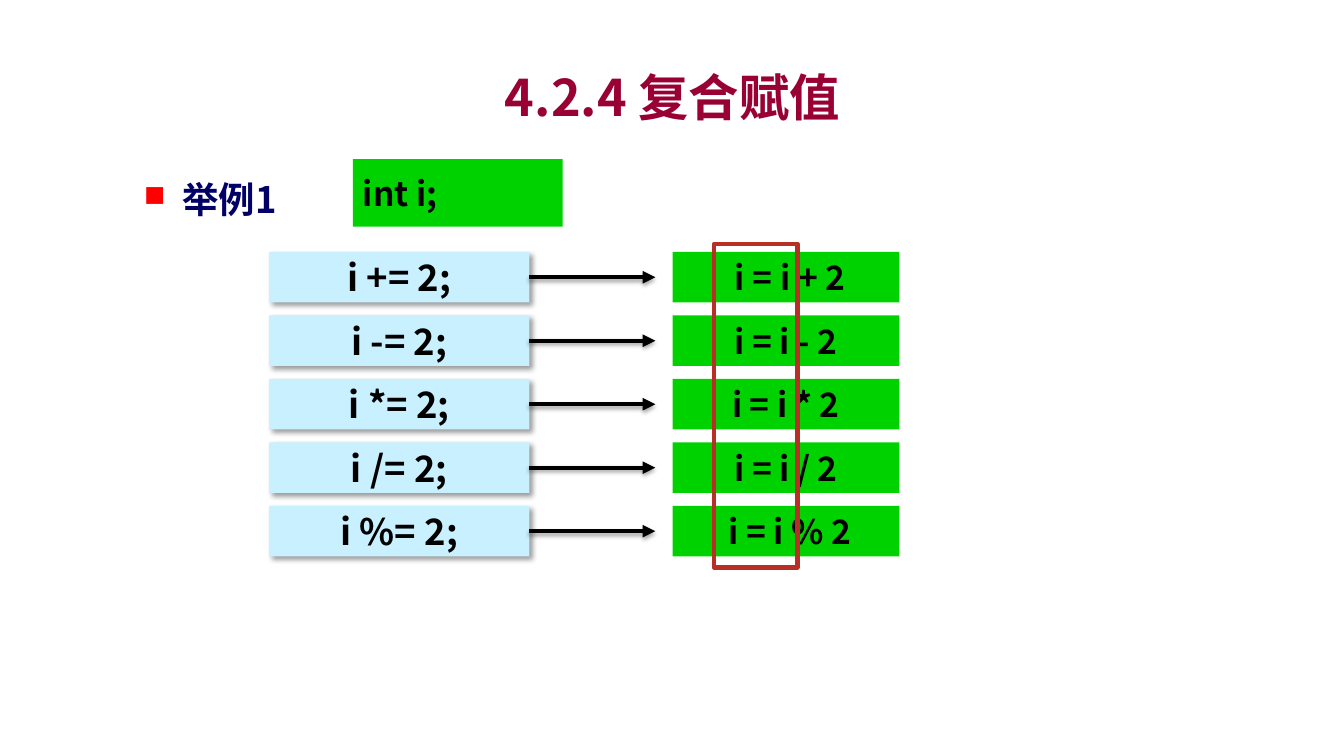
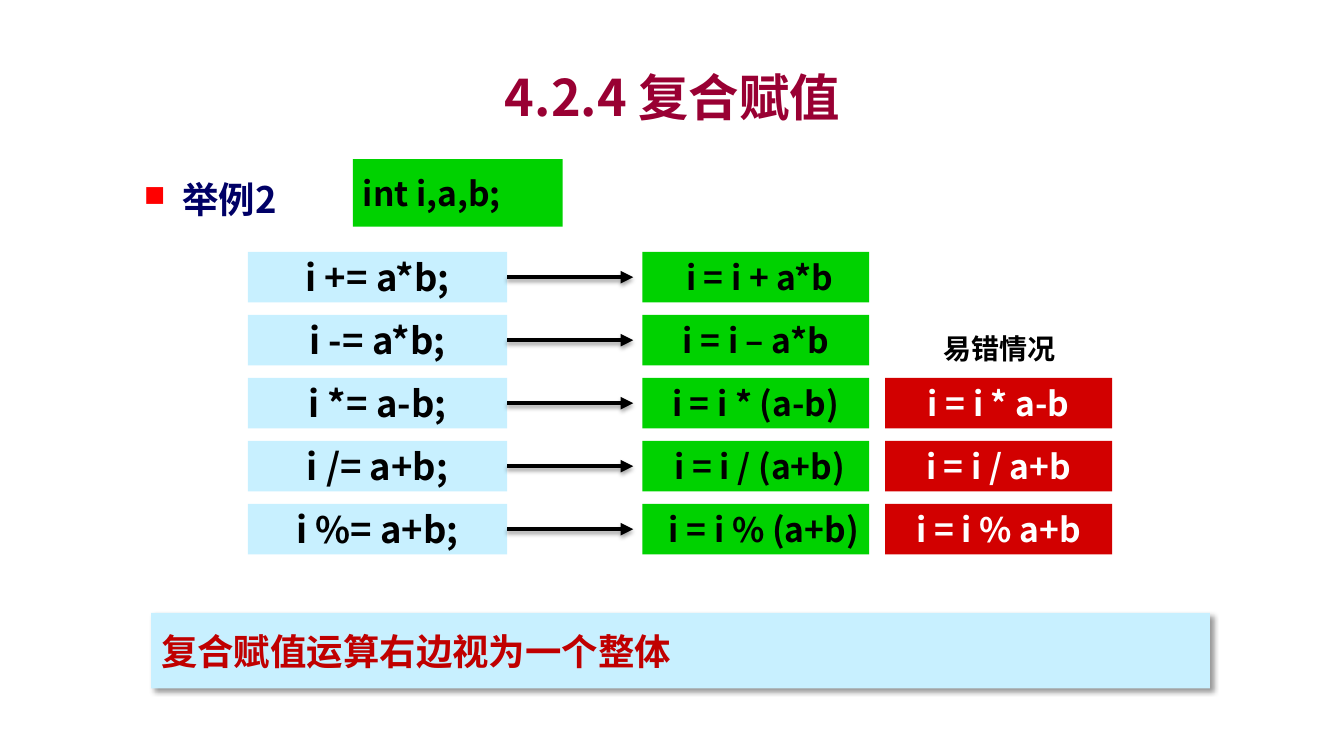
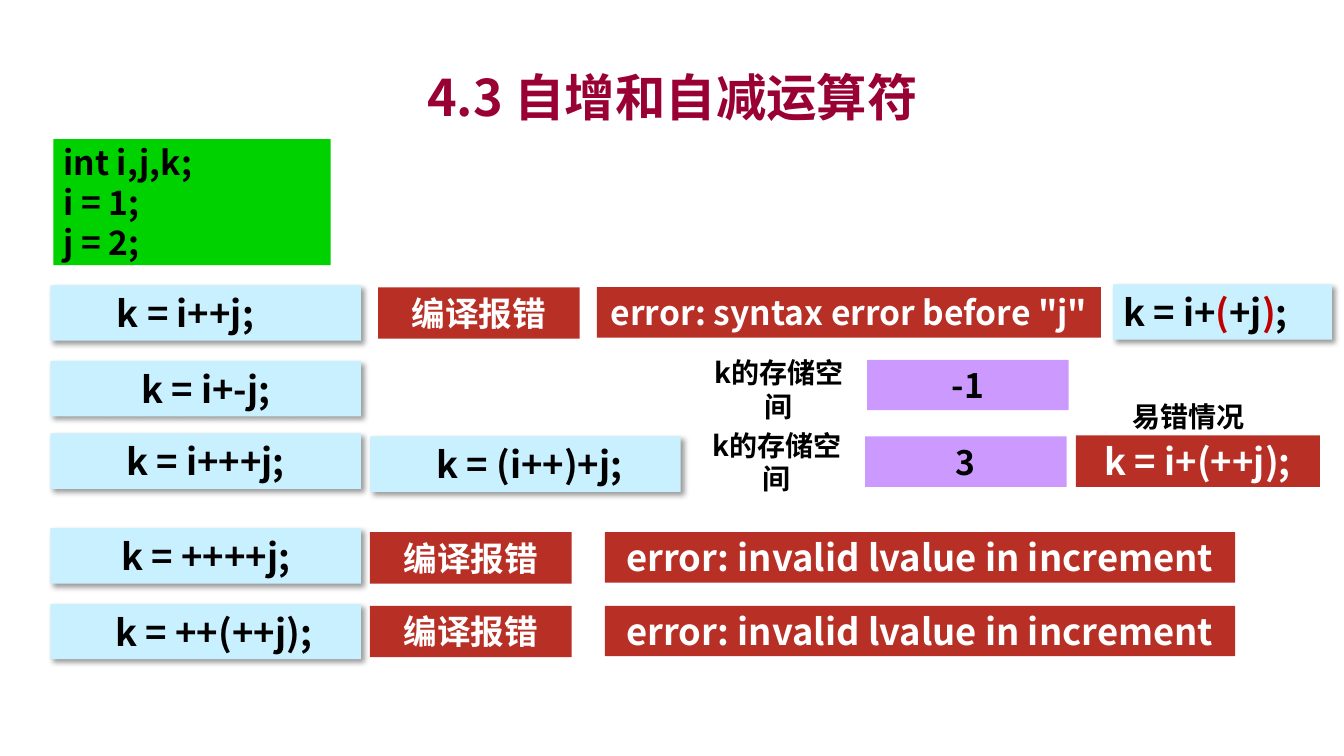
from dataclasses import dataclass

from lxml.etree import SubElement
from pptx import Presentation
from pptx.dml.color import RGBColor
from pptx.enum.shapes import MSO_CONNECTOR, MSO_SHAPE
from pptx.enum.text import MSO_ANCHOR, PP_ALIGN
from pptx.oxml.ns import qn
from pptx.util import Inches, Pt


@dataclass(frozen=True)
class Theme:
    font: str = "Noto Sans CJK SC"
    title: str = "990033"
    heading: str = "000066"
    bullet: str = "FF0000"
    ink: str = "000000"
    white: str = "FFFFFF"
    emphasis: str = "C00000"
    source: str = "C8F0FF"
    result: str = "00D200"
    pitfall: str = "D20000"
    error: str = "B82F25"
    memory: str = "CC99FF"
    title_size: int = 36
    large: int = 26
    medium: int = 24
    small: int = 20
    stroke: int = 3


THEME = Theme()
BOX_SHADOW = (40, 4, 3, 45)
ARROW_SHADOW = (35, 3.1, 1.8, 90)
SPACE = 0.08
ROW_HEIGHT = 0.5
CODE_WIDTH, CODE_HEIGHT = 3.08, 0.55


def rgb(color):
    return RGBColor.from_string(color)


def cast_shadow(effects, shadow):
    """Add an outer shadow given as opacity %, blur pt, distance pt, angle."""
    opacity, blur, distance, angle = shadow
    outer = SubElement(effects, qn("a:outerShdw"), blurRad=str(Pt(blur)),
                       dist=str(Pt(distance)), dir=str(angle * 60000),
                       algn="ctr", rotWithShape="0")
    shade = SubElement(outer, qn("a:srgbClr"), val=THEME.ink)
    SubElement(shade, qn("a:alpha"), val=str(opacity * 1000))


def add_run(paragraph, text, size, color):
    run = paragraph.add_run()
    run.text = text
    run.font.size = Pt(size)
    run.font.bold = True
    run.font.color.rgb = rgb(color)
    run.font.name = THEME.font
    SubElement(run.font._element, qn("a:ea"), typeface=THEME.font)


def write(shape, lines, size, color, align=PP_ALIGN.CENTER, indent=0):
    """Write lines; a line is a string or a list of (text, color) runs."""
    frame = shape.text_frame
    frame.word_wrap = False
    frame.vertical_anchor = MSO_ANCHOR.MIDDLE
    frame.margin_left = Inches(0.1 + indent)
    for number, line in enumerate(lines):
        paragraph = frame.add_paragraph() if number else frame.paragraphs[0]
        paragraph.alignment = align
        for text, ink in [(line, color)] if isinstance(line, str) else line:
            add_run(paragraph, text, size, ink)


def add_rect(slide, left, top, width, height, fill=None, shadow=None):
    rect = slide.shapes.add_shape(MSO_SHAPE.RECTANGLE, Inches(left), Inches(top),
                                  Inches(width), Inches(height))
    rect.shadow.inherit = False
    rect.line.fill.background()
    if fill:
        rect.fill.solid()
        rect.fill.fore_color.rgb = rgb(fill)
    else:
        rect.fill.background()
    if shadow:
        cast_shadow(rect._element.spPr.find(qn("a:effectLst")), shadow)
    return rect


def add_label(slide, left, top, width, height, text, size, color):
    label = slide.shapes.add_textbox(Inches(left), Inches(top),
                                     Inches(width), Inches(height))
    write(label, [text], size, color)


def add_caption(slide, left, top, text):
    add_label(slide, left, top, 1.75, 0.58, text, THEME.small, THEME.ink)


def add_arrow(slide, left, top, length):
    arrow = slide.shapes.add_connector(MSO_CONNECTOR.STRAIGHT, Inches(left), Inches(top),
                                       Inches(left + length), Inches(top))
    arrow.line.color.rgb = rgb(THEME.ink)
    arrow.line.width = Pt(THEME.stroke)
    SubElement(arrow.line._ln, qn("a:tailEnd"), type="triangle")
    cast_shadow(SubElement(arrow._element.spPr, qn("a:effectLst")), ARROW_SHADOW)


def titled_slide(deck, title):
    slide = deck.slides.add_slide(deck.slide_layouts[6])
    add_label(slide, 2.42, 0.58, 8.5, 0.75, title, THEME.title_size, THEME.title)
    return slide


def add_heading(slide, left, top, text):
    heading = slide.shapes.add_textbox(Inches(left), Inches(top), Inches(2), Inches(0.7))
    heading.text_frame.word_wrap = True
    paragraph = heading.text_frame.paragraphs[0]
    paragraph.line_spacing = 1.3
    paragraph.space_before = paragraph.space_after = Pt(6)
    properties = paragraph._p.get_or_add_pPr()
    properties.set("marL", str(Inches(0.38)))
    properties.set("indent", str(Inches(-0.38)))
    bullet_color = SubElement(properties, qn("a:buClr"))
    SubElement(bullet_color, qn("a:srgbClr"), val=THEME.bullet)
    SubElement(properties, qn("a:buSzPct"), val="80000")
    SubElement(properties, qn("a:buChar"), char="■")
    add_run(paragraph, text, THEME.large, THEME.heading)


def add_declaration(slide, left, top, width, height, lines):
    declaration = add_rect(slide, left, top, width, height, THEME.result)
    write(declaration, lines, THEME.medium, THEME.ink, PP_ALIGN.LEFT)


def example_slide(deck, heading, declaration):
    slide = titled_slide(deck, "4.2.4 复合赋值")
    add_heading(slide, 1.33, 1.58, heading)
    add_declaration(slide, 3.5, 1.58, 2.08, 0.67, [declaration])
    return slide


def add_expansions(slide, left, top, pitch, source_width, result_offset, rows, shadow=None):
    """Stack rows of (compound form, expanded form, leading spaces)."""
    for number, (compound, expanded, spaces) in enumerate(rows):
        row_top = top + number * pitch
        source = add_rect(slide, left, row_top, source_width, ROW_HEIGHT,
                          THEME.source, shadow)
        write(source, [compound], THEME.large, THEME.ink)
        result = add_rect(slide, left + result_offset, row_top, 2.25, ROW_HEIGHT,
                          THEME.result)
        write(result, [expanded], THEME.medium, THEME.ink, indent=spaces * SPACE)
        add_arrow(slide, left + source_width, row_top + ROW_HEIGHT / 2, 1.25)


def add_pitfalls(slide, left, top, pitch, expressions):
    add_caption(slide, left + 0.26, top - 0.58, "易错情况")
    for number, expression in enumerate(expressions):
        pitfall = add_rect(slide, left, top + number * pitch, 2.25, ROW_HEIGHT,
                           THEME.pitfall)
        write(pitfall, [expression], THEME.medium, THEME.white)


def add_code(slide, left, top, line, width=CODE_WIDTH, align=PP_ALIGN.CENTER, indent=0):
    code = add_rect(slide, left, top, width, CODE_HEIGHT, THEME.source, BOX_SHADOW)
    write(code, [line], THEME.large, THEME.ink, align, indent)


def add_compile_error(slide, left, top, message, offset, width, size):
    """Place the verdict and, at the given offset, the compiler's message."""
    verdict = add_rect(slide, left, top, 2, 0.51, THEME.error)
    write(verdict, ["编译报错"], THEME.medium, THEME.white)
    detail = add_rect(slide, left + offset, top, width, 0.5, THEME.error)
    write(detail, [message], size, THEME.white)


def add_memory(slide, left, top, value, caption_shift):
    add_caption(slide, left, top + caption_shift, "k的存储空间")
    cell = add_rect(slide, left + 1.75, top, 2, ROW_HEIGHT, THEME.memory)
    write(cell, [value], THEME.medium, THEME.ink)


def constant_example(deck):
    slide = example_slide(deck, "举例1", "int i;")
    add_expansions(slide, 2.67, 2.5, 0.63, 2.58, 4, [
        ("i += 2;", "i = i + 2", 1),
        ("i -= 2;", "i = i - 2", 0),
        ("i *= 2;", "i = i * 2", 0),
        ("i /= 2;", "i = i / 2", 0),
        ("i %= 2;", "i = i % 2", 1),
    ], BOX_SHADOW)
    highlight = add_rect(slide, 7.08, 2.42, 0.83, 3.21)
    highlight.line.color.rgb = rgb(THEME.error)
    highlight.line.width = Pt(THEME.stroke)


def expression_example(deck):
    slide = example_slide(deck, "举例2", "int i,a,b;")
    top, pitch = 2.5, 2.5 / 4
    add_expansions(slide, 2.46, top, pitch, 2.57, 3.91, [
        ("i += a*b;", "i = i + a*b", 1),
        ("i -= a*b;", "i = i – a*b", 0),
        ("i *= a-b;", "i = i * (a-b)", 0),
        ("i /= a+b;", "i = i / (a+b)", 1),
        ("i %= a+b;", "i = i % (a+b)", 2),
    ])
    add_pitfalls(slide, 8.78, top + 2 * pitch, pitch,
                 ["i = i * a-b", "i = i / a+b", "i = i % a+b"])
    rule = add_rect(slide, 1.5, 6.08, 10.5, 0.75, THEME.source, BOX_SHADOW)
    write(rule, ["复合赋值运算右边视为一个整体"], THEME.large, THEME.emphasis, PP_ALIGN.LEFT)


def increment_operators(deck):
    slide = titled_slide(deck, "4.3 自增和自减运算符")
    add_declaration(slide, 0.53, 1.38, 2.75, 1.25, ["int i,j,k;", "i = 1;", "j = 2;"])

    add_code(slide, 0.5, 2.83, "k = i++j;", align=PP_ALIGN.LEFT, indent=7 * SPACE)
    add_compile_error(slide, 3.75, 2.85, 'error: syntax error before "j"',
                      2.17, 5, THEME.medium)
    add_code(slide, 11.04, 2.82, [
        ("k = i+", THEME.ink), ("(", THEME.emphasis), ("+j", THEME.ink),
        (")", THEME.emphasis), (";", THEME.ink),
    ], width=2.17, align=PP_ALIGN.LEFT)

    add_code(slide, 0.5, 3.58, "k = i+-j;")
    add_memory(slide, 6.85, 3.57, "-1", 0)

    add_code(slide, 0.5, 4.3, "k = i+++j;")
    add_code(slide, 3.67, 4.33, "k = (i++)+j;", indent=SPACE)
    add_memory(slide, 6.83, 4.33, "3", -0.04)
    add_caption(slide, 10.91, 3.84, "易错情况")
    pitfall = add_rect(slide, 10.67, 4.32, 2.42, 0.51, THEME.error)
    write(pitfall, ["k = i+(++j);"], THEME.large, THEME.white)

    for top, error_top, expression, spaces in [
        (5.24, 5.28, "k = ++++j;", 0),
        (5.99, 6.01, "k = ++(++j);", 2),
    ]:
        add_code(slide, 0.5, top, expression, indent=spaces * SPACE)
        add_compile_error(slide, 3.67, error_top, "error: invalid lvalue in increment",
                          2.33, 6.25, THEME.large)


def main():
    deck = Presentation()
    deck.slide_width, deck.slide_height = Inches(13.33), Inches(7.5)
    constant_example(deck)
    expression_example(deck)
    increment_operators(deck)
    deck.save("out.pptx")


if __name__ == "__main__":
    main()
